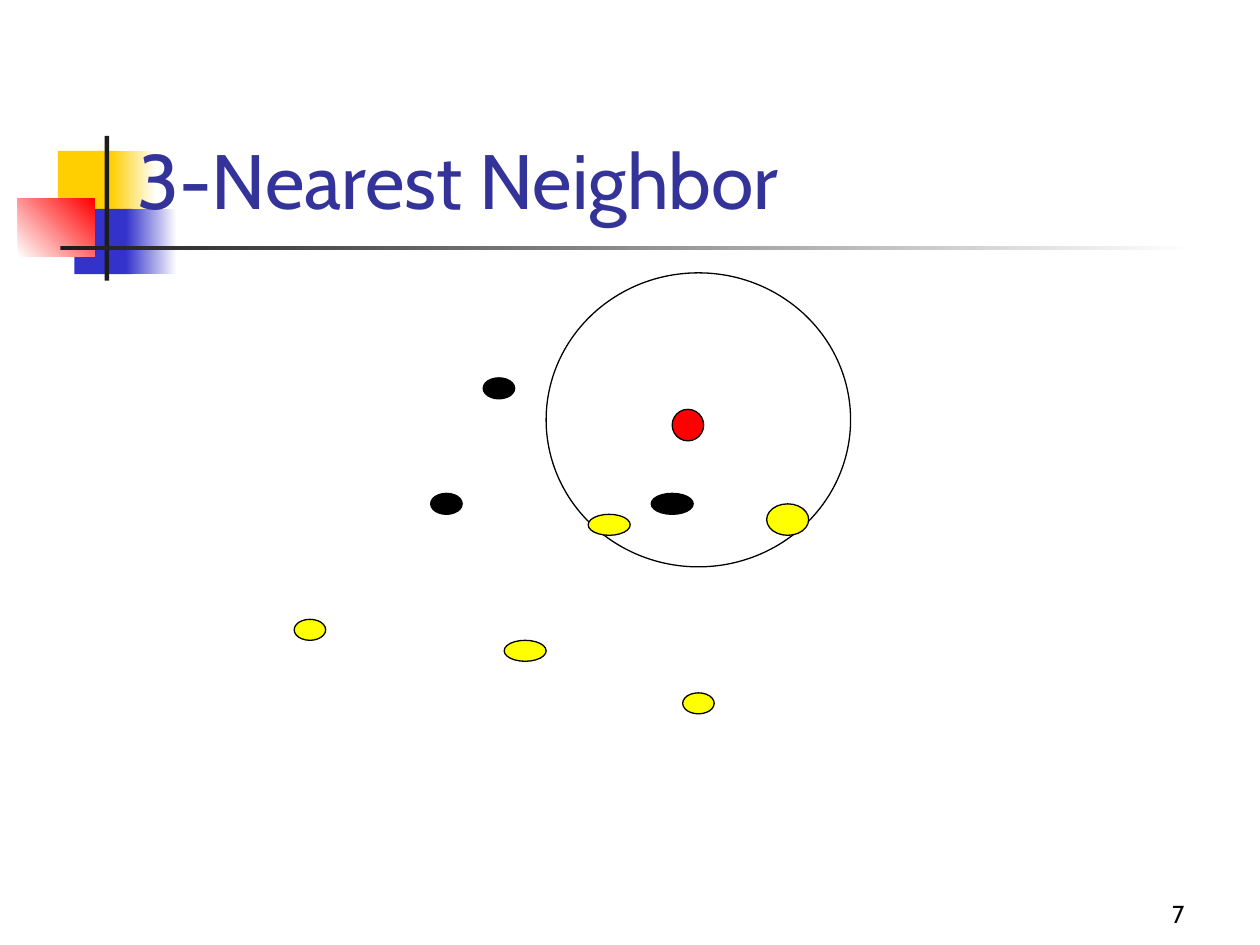
from pptx import Presentation, util as u
from pptx.dml.color import RGBColor
from pptx.enum import shapes, text

FONT = "Cabin"
UNIT = 2.54 / 12
KIND = shapes.MSO_SHAPE


def tint(code):
    return RGBColor.from_string(code)


def place(item, x, y, w, h):
    item.left, item.top, item.width, item.height = (u.Cm(v) for v in (x, y, w, h))


def draw(slide, kind, box, fill, line=None, fade=None, angle=0):
    item = slide.shapes.add_shape(kind, *(u.Cm(v) for v in box))
    item.shadow.inherit = False
    if fade:
        item.fill.gradient()
        item.fill.gradient_angle = angle
        for stop, code in zip(item.fill.gradient_stops, (fill, fade)):
            stop.color.rgb = tint(code)
    else:
        item.fill.solid()
        item.fill.fore_color.rgb = tint(fill)
    if line:
        item.line.color.rgb = tint(line)
        item.line.width = u.Pt(0.75)
    else:
        item.line.fill.background()


def write(item, words, size, color, align):
    frame = item.text_frame
    frame.word_wrap = True
    frame.auto_size = text.MSO_AUTO_SIZE.NONE
    frame.vertical_anchor = text.MSO_ANCHOR.BOTTOM
    frame.text = words
    para = frame.paragraphs[0]
    para.alignment = align
    font = para.runs[0].font
    font.name, font.size, font.color.rgb = FONT, u.Pt(size), tint(color)


def motif(slide, x, y):
    parts = [
        (0.81, 0.3, 1.22, 1.32, "FFCF01", None, 0),
        (1.88, 0.3, 0.91, 1.32, "FFCF01", "FFFFFF", 0),
        (1.14, 1.47, 1.17, 1.32, "3333CC", None, 0),
        (2.18, 1.47, 1.02, 1.32, "3333CC", "FFFFFF", 0),
        (0, 1.27, 1.55, 1.17, "FFFFFF", "FF0000", 45),
        (1.75, 0, 0.09, 2.92, "1C1C1C", None, 0),
        (0.86, 2.21, 22.86, 0.09, "1C1C1C", "FFFFFF", 0),
    ]
    for dx, dy, w, h, fill, fade, angle in parts:
        draw(slide, KIND.RECTANGLE, (x + dx, y + dy, w, h), fill, fade=fade, angle=angle)


def header(slide, *box):
    title = slide.shapes.title
    place(title, *box)
    write(title, "3-Nearest Neighbor", 44, "333399", text.PP_ALIGN.LEFT)
    title.element.getparent().append(title.element)


def scatter(slide, x, y):
    black, red, yellow = "000000", "FF0000", "FFFF00"
    dots = [
        (24, 0, 29, 28, "FFFFFF"),
        (13, 21, 3, 2, black),
        (34, 21, 4, 2, black),
        (45, 22, 4, 3, yellow),
        (18, 10, 3, 2, black),
        (36, 13, 3, 3, red),
        (0, 33, 3, 2, yellow),
        (37, 40, 3, 2, yellow),
        (20, 35, 4, 2, yellow),
        (28, 23, 4, 2, yellow),
    ]
    for col, row, w, h, fill in dots:
        box = (x + col * UNIT, y + row * UNIT, w * UNIT, h * UNIT)
        draw(slide, KIND.OVAL, box, fill, line=black)


def footer(slide, *box):
    item = slide.shapes.add_textbox(*(u.Cm(v) for v in box))
    write(item, "7", 14, "000000", text.PP_ALIGN.RIGHT)


def main():
    deck = Presentation()
    deck.slide_width, deck.slide_height = u.Cm(25.4), u.Cm(19.05)
    slide = deck.slides.add_slide(deck.slide_layouts[5])
    motif(slide, 0.36, 2.74)
    header(slide, 2.51, 2.57, 22.68, 2.1)
    scatter(slide, 5.93, 5.5)
    footer(slide, 18.84, 17.57, 5.29, 1.27)
    deck.save("out.pptx")


if __name__ == "__main__":
    main()
